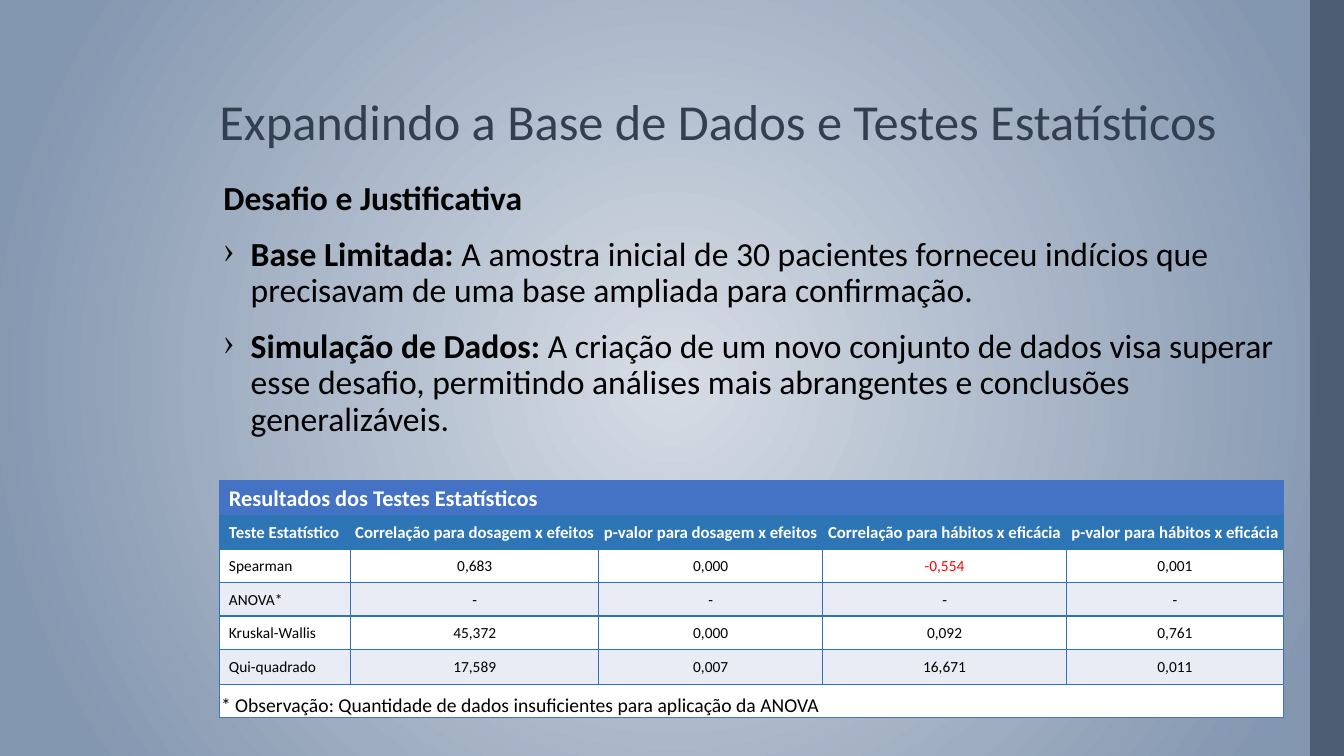
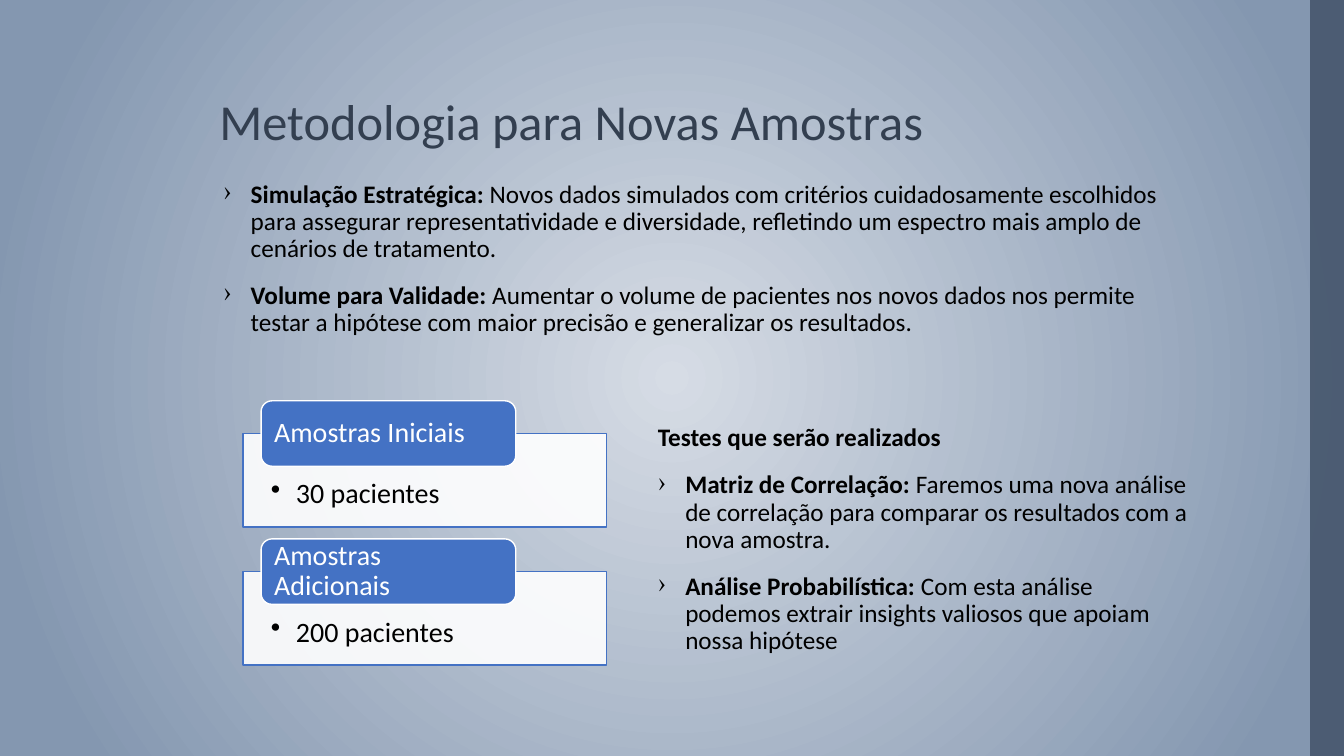
from dataclasses import dataclass

from lxml import etree
from pptx import Presentation
from pptx import util as u
from pptx.dml.color import RGBColor
from pptx.enum import shapes, text
from pptx.oxml.ns import qn


@dataclass(frozen=True)
class Theme:
    font: str = "Calibri"
    glow: str = "D6DCE5"
    edge: str = "8497B0"
    band: str = "44546A"
    title: str = "333F50"
    ink: str = "000000"
    white: str = "FFFFFF"
    blue: str = "4472C4"
    head: str = "2E75B6"
    stripe: str = "E9EBF5"
    alert: str = "FF0000"
    big: int = 36
    lead: int = 24
    card: int = 20
    body: int = 18
    cap: int = 16
    note: int = 14
    label: int = 12
    cell: int = 11


T = Theme()
WIDE, HIGH = 33.87, 19.05
COLS = (3.3, 6.25, 5.64, 6.15, 5.46)
ROWS = (0.88, 0.84, 0.84, 0.84, 0.84, 0.88, 0.84)

DATA = (
    ("Teste Estatístico", "Correlação para dosagem x efeitos", "p-valor para dosagem x efeitos",
     "Correlação para hábitos x eficácia", "p-valor para hábitos x eficácia"),
    ("Spearman", "0,683", "0,000", "-0,554", "0,001"),
    ("ANOVA*", "-", "-", "-", "-"),
    ("Kruskal-Wallis", "45,372", "0,000", "0,092", "0,761"),
    ("Qui-quadrado", "17,589", "0,007", "16,671", "0,011"),
)
REASONS = (
    ("Desafio e Justificativa", ""),
    ("Base Limitada: ", "A amostra inicial de 30 pacientes forneceu indícios que "
     "precisavam de uma base ampliada para confirmação."),
    ("Simulação de Dados: ", "A criação de um novo conjunto de dados visa superar esse desafio, "
     "permitindo análises mais abrangentes e conclusões generalizáveis."),
)
METHODS = (
    ("Simulação Estratégica: ", "Novos dados simulados com critérios cuidadosamente escolhidos "
     "para assegurar representatividade e diversidade, refletindo um espectro mais amplo "
     "de cenários de tratamento."),
    ("Volume para Validade: ", "Aumentar o volume de pacientes nos novos dados nos permite "
     "testar a hipótese com maior precisão e generalizar os resultados."),
)
TESTS = (
    ("Testes que serão realizados", ""),
    ("Matriz de Correlação: ", "Faremos uma nova análise de correlação para comparar "
     "os resultados com a nova amostra."),
    ("Análise Probabilística: ", "Com esta análise podemos extrair insights valiosos "
     "que apoiam nossa hipótese"),
)
GROUPS = (("Amostras Iniciais", "30 pacientes"), ("Amostras Adicionais", "200 pacientes"))


def rgb(tint):
    return RGBColor.from_string(tint)


def cms(*vals):
    return [u.Cm(v) for v in vals]


def style(run, size, tint=T.ink, bold=False):
    font = run.font
    font.name, font.size, font.bold = T.font, u.Pt(size), bold
    font.color.rgb = rgb(tint)


def inset(box, left, top, right, low):
    """Set the inner margins of a text frame or table cell, in cm."""
    box.margin_left, box.margin_top, box.margin_right, box.margin_bottom = cms(
        left, top, right, low)


def bullet(para, mark, gap):
    """Give the paragraph a bullet with a hanging indent in cm."""
    props = para._p.get_or_add_pPr()
    props.set("marL", str(u.Cm(gap)))
    props.set("indent", str(-u.Cm(gap)))
    etree.SubElement(props, qn("a:buChar")).set("char", mark)


def block(slide, kind, box, fill, line=None, clear=None):
    """Add a filled shape; clear is its opacity in percent."""
    form = slide.shapes.add_shape(kind, *cms(*box))
    form.shadow.inherit = False
    form.fill.solid()
    form.fill.fore_color.rgb = rgb(fill)
    if clear:
        tint = form._element.spPr.find(".//" + qn("a:srgbClr"))
        etree.SubElement(tint, qn("a:alpha")).set("val", str(clear * 1000))
    if line:
        form.line.color.rgb = rgb(line)
        form.line.width = u.Pt(1)
    else:
        form.line.fill.background()
    return form


def label(form, words, size, tint, anchor):
    frame = form.text_frame
    frame.word_wrap = True
    frame.vertical_anchor = anchor
    frame.text = words
    para = frame.paragraphs[0]
    para.alignment = text.PP_ALIGN.LEFT
    para.line_spacing = 0.9
    style(para.runs[0], size, tint)
    return frame


def backdrop(master):
    fill = master.background.fill
    fill.gradient()
    for stop, (tint, spot) in zip(fill.gradient_stops, ((T.glow, 0), (T.edge, 0.9))):
        stop.color.rgb = rgb(tint)
        stop.position = spot
    line = master.element.find(".//" + qn("p:bg")).find(".//" + qn("a:lin"))
    ring = etree.Element(qn("a:path"), {"path": "circle"})
    etree.SubElement(ring, qn("a:fillToRect"), {side: "50000" for side in "ltrb"})
    line.getparent().replace(line, ring)


def page(deck, title):
    """Add a slide with the side band and its title."""
    slide = deck.slides.add_slide(deck.slide_layouts[6])
    block(slide, shapes.MSO_SHAPE.RECTANGLE, (33.02, 0, WIDE - 33.02, HIGH), T.band, clear=87)
    box = slide.shapes.add_textbox(*cms(5.28, 0.48, 26.31, 3.45))
    label(box, title, T.big, T.title, text.MSO_ANCHOR.BOTTOM)
    return slide


def prose(slide, box, items, size):
    """Write bold leads; those followed by a sentence get a bullet."""
    frame = slide.shapes.add_textbox(*cms(*box)).text_frame
    frame.word_wrap = True
    for i, (lead, rest) in enumerate(items):
        para = frame.add_paragraph() if i else frame.paragraphs[0]
        para.text = lead
        para.line_spacing, para.space_before = 0.9, u.Pt(14)
        style(para.runs[0], size, bold=True)
        if rest:
            run = para.add_run()
            run.text = rest
            style(run, size)
            bullet(para, "›", 0.69)


def border(cell, tints):
    """Draw the left, right, top and bottom edges in the given colours."""
    props = cell._tc.get_or_add_tcPr()
    for i, (side, tint) in enumerate(zip("LRTB", tints)):
        line = etree.Element(qn("a:ln" + side), {"w": str(u.Pt(1))})
        fill = etree.SubElement(line, qn("a:solidFill"))
        etree.SubElement(fill, qn("a:srgbClr")).set("val", tint)
        props.insert(i, line)


def fill_cell(cell, words, size, tint, back, bold=False, left=0.03):
    cell.fill.solid()
    cell.fill.fore_color.rgb = rgb(back)
    cell.vertical_anchor = text.MSO_ANCHOR.MIDDLE
    inset(cell, left, 0.03, 0.03, 0)
    cell.text = words
    style(cell.text_frame.paragraphs[0].runs[0], size, tint, bold)


def results(slide, left, top):
    grid = slide.shapes.add_table(
        len(ROWS), len(COLS), *cms(left, top, sum(COLS), sum(ROWS))).table
    grid.first_row = grid.horz_banding = False
    for col, wide in zip(grid.columns, COLS):
        col.width = u.Cm(wide)
    for row, high in zip(grid.rows, ROWS):
        row.height = u.Cm(high)

    last = len(ROWS) - 1
    for r in (0, last):
        grid.cell(r, 0).merge(grid.cell(r, len(COLS) - 1))
    fill_cell(grid.cell(0, 0), "Resultados dos Testes Estatísticos",
              T.cap, T.white, T.blue, True, 0.23)
    note = grid.cell(last, 0)
    fill_cell(note, "* Observação: Quantidade de dados insuficientes para aplicação da ANOVA",
              T.note, T.ink, T.white)
    note.vertical_anchor = text.MSO_ANCHOR.BOTTOM

    for r, row in enumerate(DATA, 1):
        for c, words in enumerate(row):
            cell = grid.cell(r, c)
            pad = 0.03 if c else 0.23
            if r == 1:
                fill_cell(cell, words, T.label, T.white, T.head, True, pad)
            else:
                tint = T.alert if words.startswith("-0") else T.ink
                fill_cell(cell, words, T.cell, tint, T.stripe if r % 2 else T.white, left=pad)
            if c:
                cell.text_frame.paragraphs[0].alignment = text.PP_ALIGN.CENTER

    edges = {0: (T.blue, T.blue, T.blue, T.head), last: (T.blue, T.blue, T.head, T.blue)}
    for r in range(len(ROWS)):
        for c in range(len(COLS)):
            border(grid.cell(r, c), edges.get(r, (T.head,) * 4))


def card(slide, left, top, name, count):
    """Place a panel with a name tag over its upper edge."""
    panel = block(slide, shapes.MSO_SHAPE.RECTANGLE, (left, top + 0.82, 9.17, 2.36),
                  T.white, T.blue, 90)
    frame = label(panel, count, T.card, T.ink, text.MSO_ANCHOR.TOP)
    inset(frame, 0.71, 1.17, 0.71, 0.41)
    bullet(frame.paragraphs[0], "•", 0.63)
    tag = block(slide, shapes.MSO_SHAPE.ROUNDED_RECTANGLE, (left + 0.46, top, 6.42, 1.65),
                T.blue, T.white)
    inset(label(tag, name, T.card, T.white, text.MSO_ANCHOR.MIDDLE), 0.25, 0, 0.25, 0)


def main():
    deck = Presentation()
    deck.slide_width, deck.slide_height = cms(WIDE, HIGH)
    backdrop(deck.slide_master)

    tests = page(deck, "Expandindo a Base de Dados e Testes Estatísticos")
    prose(tests, (5.38, 4.45, 27.36, 6.88), REASONS, T.lead)
    results(tests, 5.54, 12.12)

    method = page(deck, "Metodologia para Novas Amostras")
    prose(method, (5.38, 4.45, 24.77, 4.85), METHODS, T.body)
    for i, (name, count) in enumerate(GROUPS):
        card(method, 6.12, 10.1 + i * 3.48, name, count)
    prose(method, (16.33, 10.59, 13.89, 6.55), TESTS, T.body)

    deck.save("out.pptx")


if __name__ == "__main__":
    main()
